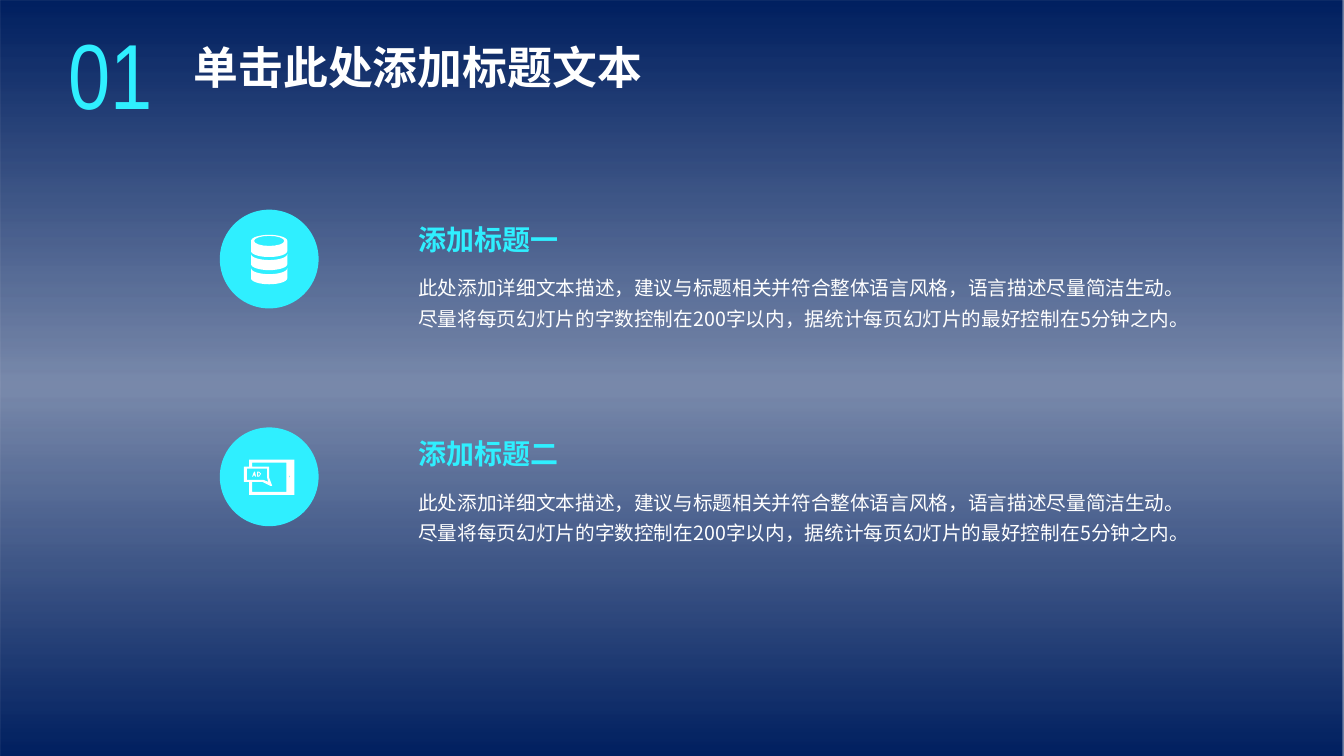
from copy import deepcopy
from math import cos, pi, sin

from lxml import etree
from pptx import Presentation
from pptx.dml.color import RGBColor
from pptx.enum.shapes import MSO_SHAPE
from pptx.enum.text import MSO_ANCHOR, MSO_AUTO_SIZE, PP_ALIGN
from pptx.oxml.ns import qn
from pptx.util import Inches, Pt

OVAL, RECTANGLE = MSO_SHAPE.OVAL, MSO_SHAPE.RECTANGLE
TOP = MSO_ANCHOR.TOP
FIT_SHAPE = MSO_AUTO_SIZE.SHAPE_TO_FIT_TEXT
LEFT, CENTER = PP_ALIGN.LEFT, PP_ALIGN.CENTER

NAVY = RGBColor(0x00, 0x20, 0x60)
CYAN = RGBColor(0x2F, 0xEF, 0xFF)
WHITE = RGBColor(0xFF, 0xFF, 0xFF)

# Content
TITLE = "单击此处添加标题文本"
NUMBER = "01"
DETAIL = ("此处添加详细文本描述，建议与标题相关并符合整体语言风格，语言描述尽量简洁生动。"
          "尽量将每页幻灯片的字数控制在200字以内，据统计每页幻灯片的最好控制在5分钟之内。")
BACKDROP_STOPS = [(0, 100), (0.49, 52), (1, 100)]  # position, opacity in percent

# Text formats
CJK = "Noto Sans CJK SC"
TITLE_FORMAT = {"name": CJK, "size": Pt(32), "bold": True}
HEADING_FORMAT = {"name": CJK, "size": Pt(20), "bold": True}
DETAIL_FORMAT = {"name": CJK, "size": Pt(14), "bold": False}
NUMBER_FORMAT = {"name": "Arial Narrow", "size": Pt(66), "bold": False}


# Icon outlines, measured from the centre of the circle
def arc(y, depth, start, end, radius=0.18, steps=16):
    angles = [start + (end - start) * i / steps for i in range(steps + 1)]
    return [(radius * cos(a), y + depth * sin(a)) for a in angles]


def database_outlines():
    lid = arc(-0.18, 0.06, pi, 2 * pi) + arc(-0.08, 0.06, 0, pi)
    rings = [arc(y, 0.06, pi, 0) + arc(y + 0.1, 0.06, 0, pi)
             for y in (-0.05, 0.09)]
    opening = arc(-0.18, 0.05, 0, 2 * pi, radius=0.15)
    return [lid, *rings, opening]


def advert_outlines():
    return [
        # device with the bubble's left side
        [(-0.2, -0.17), (0.25, -0.17), (0.25, 0.18), (-0.2, 0.18),
         (-0.2, 0.05), (-0.25, 0.05), (-0.25, -0.1), (-0.2, -0.1)],
        # screen
        [(-0.17, -0.14), (-0.17, -0.1), (0, -0.1), (0, 0.01), (0.03, 0.09),
         (0.01, 0.09), (-0.07, 0.05), (-0.17, 0.05), (-0.17, 0.15),
         (0.17, 0.15), (0.17, -0.14)],
        # speech bubble
        [(-0.22, -0.08), (-0.22, 0.03), (-0.06, 0.03), (-0.01, 0.05),
         (-0.02, 0.01), (-0.02, -0.08)],
        # letter A
        [(-0.15, -0.05), (-0.14, -0.05), (-0.13, 0), (-0.14, 0),
         (-0.14, -0.01), (-0.16, -0.01), (-0.16, 0), (-0.17, 0)],
        # letter D and its counter
        [(-0.12, -0.05), (-0.1, -0.05), (-0.08, -0.03), (-0.1, 0), (-0.12, 0)],
        [(-0.11, -0.04), (-0.1, -0.04), (-0.09, -0.03), (-0.1, -0.01),
         (-0.11, -0.01)],
        # home button
        [(0.2, -0.02), (0.21, 0), (0.2, 0.01)],
    ]


# heading, heading top, detail top, circle top, icon outlines
SECTIONS = [
    ("添加标题一", 2.16, 2.62, 2.08, database_outlines()),
    ("添加标题二", 4.28, 4.75, 4.24, advert_outlines()),
]
CIRCLE_LEFT, CIRCLE_SIZE = 2.18, 0.98
TEXT_LEFT = 4.05


def write(shape, text, text_format, color, align=LEFT, spacing=None):
    frame = shape.text_frame
    frame.word_wrap = True
    frame.auto_size = FIT_SHAPE
    frame.vertical_anchor = TOP
    paragraph = frame.paragraphs[0]
    paragraph.alignment = align
    paragraph.line_spacing = spacing
    run = paragraph.add_run()
    run.text = text
    for name, value in text_format.items():
        setattr(run.font, name, value)
    run.font.color.rgb = color
    east_asian = etree.SubElement(run.font._element, qn("a:ea"))
    east_asian.set("typeface", text_format["name"])


def add_text(slide, box, *args, **options):
    write(slide.shapes.add_textbox(*map(Inches, box)), *args, **options)


def paint(shape, color):
    shape.shadow.inherit = False
    shape.fill.solid()
    shape.fill.fore_color.rgb = color
    shape.line.fill.background()


def add_icon(slide, center_x, center_y, outlines):
    contours = [[(Inches(center_x + x), Inches(center_y + y))
                 for x, y in outline] for outline in outlines]
    builder = slide.shapes.build_freeform(*contours[0][0])
    for index, contour in enumerate(contours):
        if index:
            builder.move_to(*contour[0])
        builder.add_line_segments(contour[1:], close=True)
    paint(builder.convert_to_shape(), WHITE)


def add_backdrop(slide, width, height):
    backdrop = slide.shapes.add_shape(RECTANGLE, 0, 0, width, height)
    backdrop.shadow.inherit = False
    backdrop.line.fill.background()
    fill = backdrop.fill
    fill.gradient()
    fill.gradient_angle = 90
    first = fill.gradient_stops[0]._gs
    first.addnext(deepcopy(first))
    for stop, (position, opacity) in zip(fill.gradient_stops, BACKDROP_STOPS):
        stop.position = position
        stop.color.rgb = NAVY
        alpha = etree.SubElement(stop._gs.find(qn("a:srgbClr")), qn("a:alpha"))
        alpha.set("val", str(opacity * 1000))
    # send behind the title placeholder
    slide.shapes.title._element.addprevious(backdrop._element)


def main():
    presentation = Presentation()
    presentation.slide_width = Inches(13.33)
    presentation.slide_height = Inches(7.5)
    slide = presentation.slides.add_slide(presentation.slide_layouts[5])
    add_backdrop(slide, presentation.slide_width, presentation.slide_height)

    # Title and number
    title = slide.shapes.title
    title.left, title.top, title.width, title.height = map(
        Inches, (1.82, 0.34, 4.69, 0.64))
    write(title, TITLE, TITLE_FORMAT, WHITE)
    add_text(slide, (0.49, 0.12, 1.21, 1.21), NUMBER, NUMBER_FORMAT, CYAN,
             align=CENTER)

    # Sections with icons
    for heading, heading_top, detail_top, circle_top, outlines in SECTIONS:
        circle = slide.shapes.add_shape(OVAL, *map(Inches, (
            CIRCLE_LEFT, circle_top, CIRCLE_SIZE, CIRCLE_SIZE)))
        paint(circle, CYAN)
        add_icon(slide, CIRCLE_LEFT + CIRCLE_SIZE / 2,
                 circle_top + CIRCLE_SIZE / 2, outlines)
        add_text(slide, (TEXT_LEFT, heading_top, 3.91, 0.44), heading,
                 HEADING_FORMAT, CYAN)
        add_text(slide, (TEXT_LEFT, detail_top, 7.92, 0.68), DETAIL,
                 DETAIL_FORMAT, WHITE, spacing=1.3)

    presentation.save("out.pptx")


if __name__ == "__main__":
    main()
